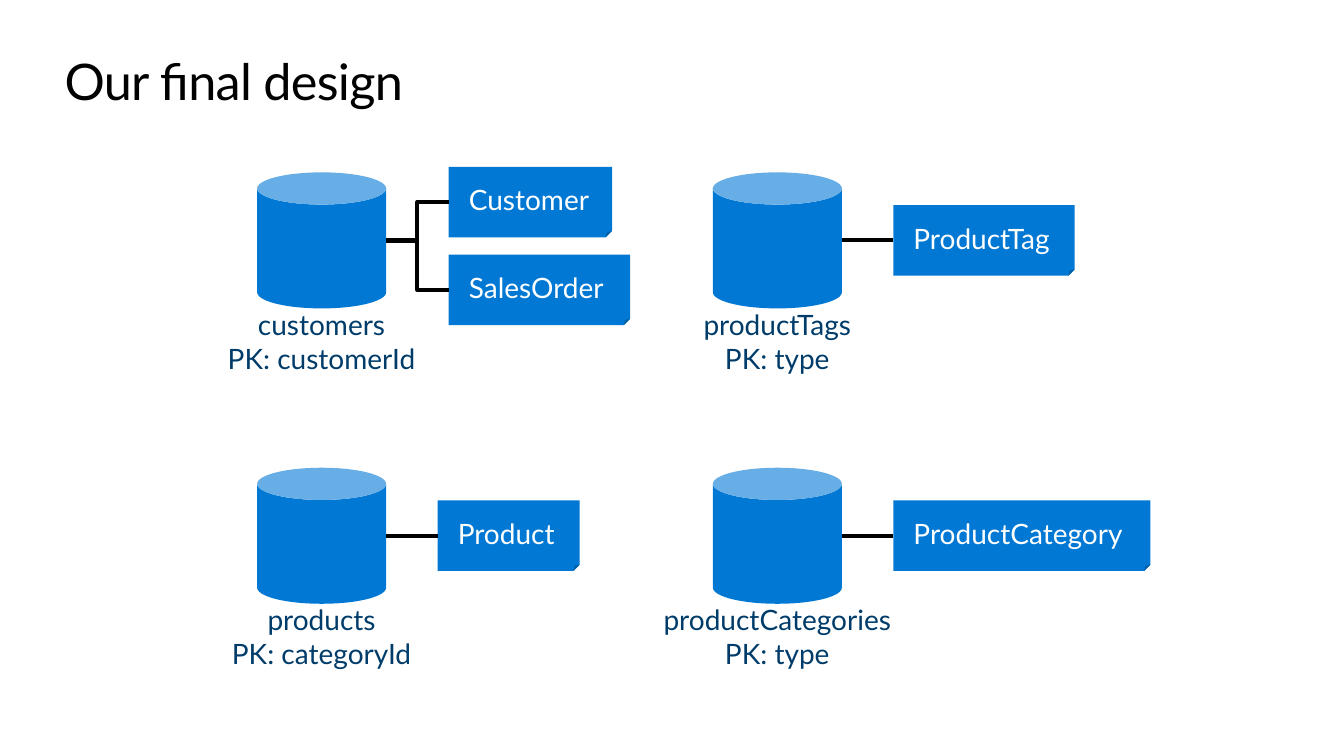
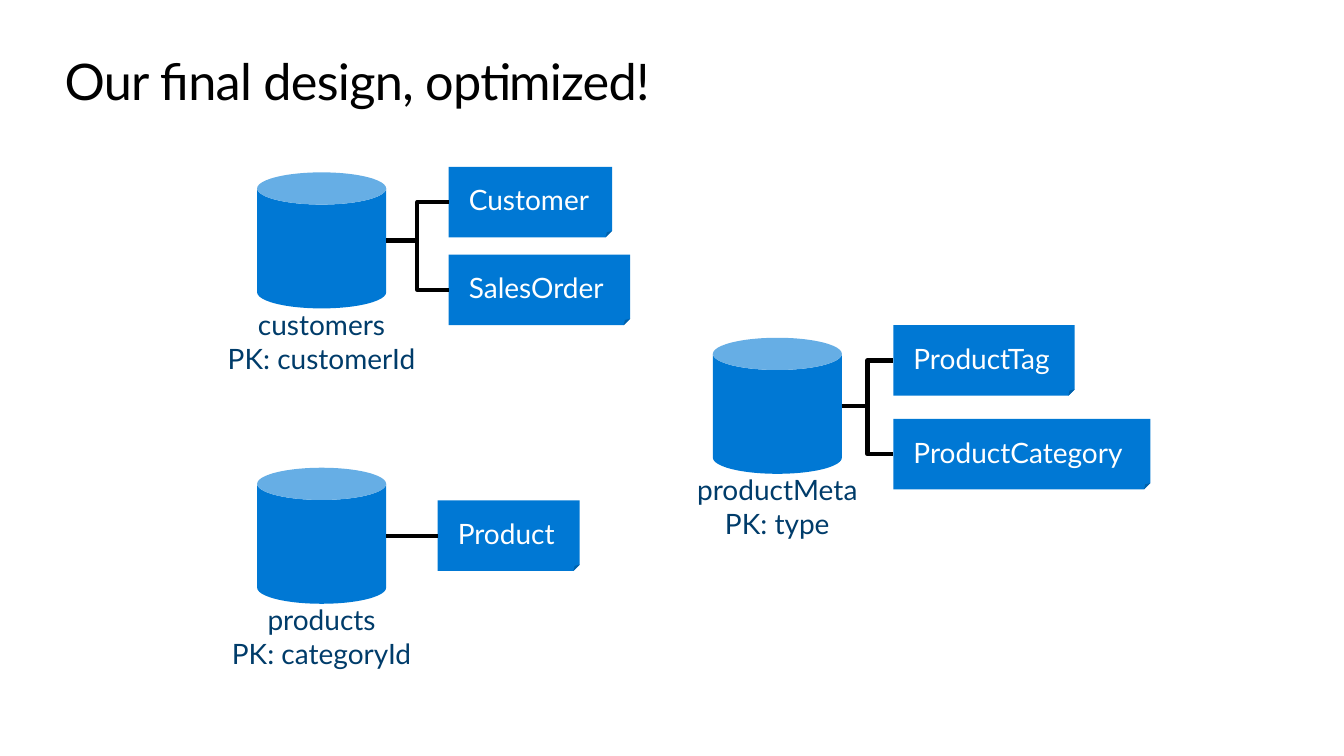
from dataclasses import dataclass, replace

from pptx import Presentation
from pptx.dml.color import RGBColor
from pptx.enum.shapes import MSO_CONNECTOR, MSO_SHAPE
from pptx.enum.text import MSO_ANCHOR, MSO_AUTO_SIZE, PP_ALIGN
from pptx.oxml.ns import qn
from pptx.oxml.xmlchemy import OxmlElement
from pptx.util import Inches, Pt

COLORS = {"ink": "000000", "fill": "0078D4", "label": "003C6A", "card": "FFFFFF"}
FONT = "Lato"
WIDE, HIGH = 13.33, 7.5

# Grid of the stores, in inches: origin, step and cell size
LEFT, TOP = 2.55, 1.71
COL, ROW = 4.52, 2.93
CAN_W, CAN_H = 1.28, 1.35
CARD_H = 0.7


@dataclass(frozen=True)
class Card:
    name: str
    width: float
    shift: float = 0  # card middle relative to the store's middle


@dataclass(frozen=True)
class Store:
    name: str
    key: str
    col: float
    row: float
    cards: tuple[Card, ...]
    gap: float = 0.51


TAG = Card("ProductTag", 1.8)
GROUP = Card("ProductCategory", 2.55)
BUYERS = Store("customers", "customerId", 0, 0,
               (Card("Customer", 1.62, -0.38), Card("SalesOrder", 1.8, 0.49)), 0.62)
GOODS = Store("products", "categoryId", 0, 1, (Card("Product", 1.41),))

SLIDES = {
    "Our final design": (
        BUYERS,
        Store("productTags", "type", 1, 0, (TAG,)),
        GOODS,
        Store("productCategories", "type", 1, 1, (GROUP,)),
    ),
    "Our final design, optimized!": (
        BUYERS,
        GOODS,
        Store("productMeta", "type", 1, 0.56,
              (replace(TAG, shift=-0.45), replace(GROUP, shift=0.48))),
    ),
}


def color(name: str) -> RGBColor:
    return RGBColor.from_string(COLORS[name])


def write(frame, lines: list[str], size: float, tone: str, align,
          insets: tuple[float, float, float, float], wrap: bool = True) -> None:
    """Fill a text frame; insets run left, top, right, bottom."""
    (frame.margin_left, frame.margin_top,
     frame.margin_right, frame.margin_bottom) = map(Inches, insets)
    frame.word_wrap = wrap
    frame.text = "\n".join(lines)
    for para in frame.paragraphs:
        para.alignment = align
        para.font.name = FONT
        para.font.size = Pt(size)
        para.font.color.rgb = color(tone)


def block(slide, kind, x: float, y: float, w: float, h: float):
    shape = slide.shapes.add_shape(kind, *map(Inches, (x, y, w, h)))
    shape.shadow.inherit = False
    shape.fill.solid()
    shape.fill.fore_color.rgb = color("fill")
    shape.line.fill.background()
    return shape


def fold(card, share: float) -> None:
    """Set the size of the folded corner as a share of the card's height."""
    guides = card._element.spPr.find(qn("a:prstGeom")).get_or_add_avLst()
    guide = OxmlElement("a:gd")
    guide.set("name", "adj")
    guide.set("fmla", f"val {round(share * 100000)}")
    guides.append(guide)


def title(slide, text: str) -> None:
    box = slide.shapes.add_textbox(*map(Inches, (0.64, 0.5, 12.05, 0.61)))
    frame = box.text_frame
    write(frame, [text], 36, "ink", PP_ALIGN.LEFT, (0, 0, 0, 0))
    frame.auto_size = MSO_AUTO_SIZE.SHAPE_TO_FIT_TEXT
    # Tighten the letters by half a point
    frame.paragraphs[0]._p.pPr.find(qn("a:defRPr")).set("spc", "-50")


def link(slide, x: float, y: float, card, end: tuple[float, float]) -> None:
    level = y == end[1]
    kind = MSO_CONNECTOR.STRAIGHT if level else MSO_CONNECTOR.ELBOW
    line = slide.shapes.add_connector(kind, *map(Inches, (x, y, *end)))
    if level:
        line.end_connect(card, 1)
    line.line.color.rgb = color("ink")
    line.line.width = Pt(3)
    line._element.spPr.append(OxmlElement("a:effectLst"))


def draw(slide, store: Store) -> None:
    x, y = LEFT + store.col * COL, TOP + store.row * ROW
    right, mid = x + CAN_W, y + CAN_H / 2

    # Cylinder, with its label hanging below
    can = block(slide, MSO_SHAPE.CAN, x, y, CAN_W, CAN_H)
    write(can.text_frame, [store.name, f"PK: {store.key}"], 20, "label",
          PP_ALIGN.CENTER, (0, 2, 0, 0.16), wrap=False)
    can.text_frame.vertical_anchor = MSO_ANCHOR.MIDDLE

    # Document types kept in the store
    for item in store.cards:
        edge, level = right + store.gap, mid + item.shift
        card = block(slide, MSO_SHAPE.FOLDED_CORNER,
                     edge, level - CARD_H / 2, item.width, CARD_H)
        fold(card, 0.09)
        write(card.text_frame, [item.name], 20, "card", PP_ALIGN.LEFT,
              (0.2, 0.16, 0.2, 0.16))
        card.text_frame.vertical_anchor = MSO_ANCHOR.TOP
        link(slide, right, mid, card, (edge, level))


def main() -> None:
    deck = Presentation()
    deck.slide_width, deck.slide_height = Inches(WIDE), Inches(HIGH)
    for heading, stores in SLIDES.items():
        slide = deck.slides.add_slide(deck.slide_layouts[6])
        title(slide, heading)
        for store in stores:
            draw(slide, store)
    deck.save("out.pptx")


if __name__ == "__main__":
    main()
